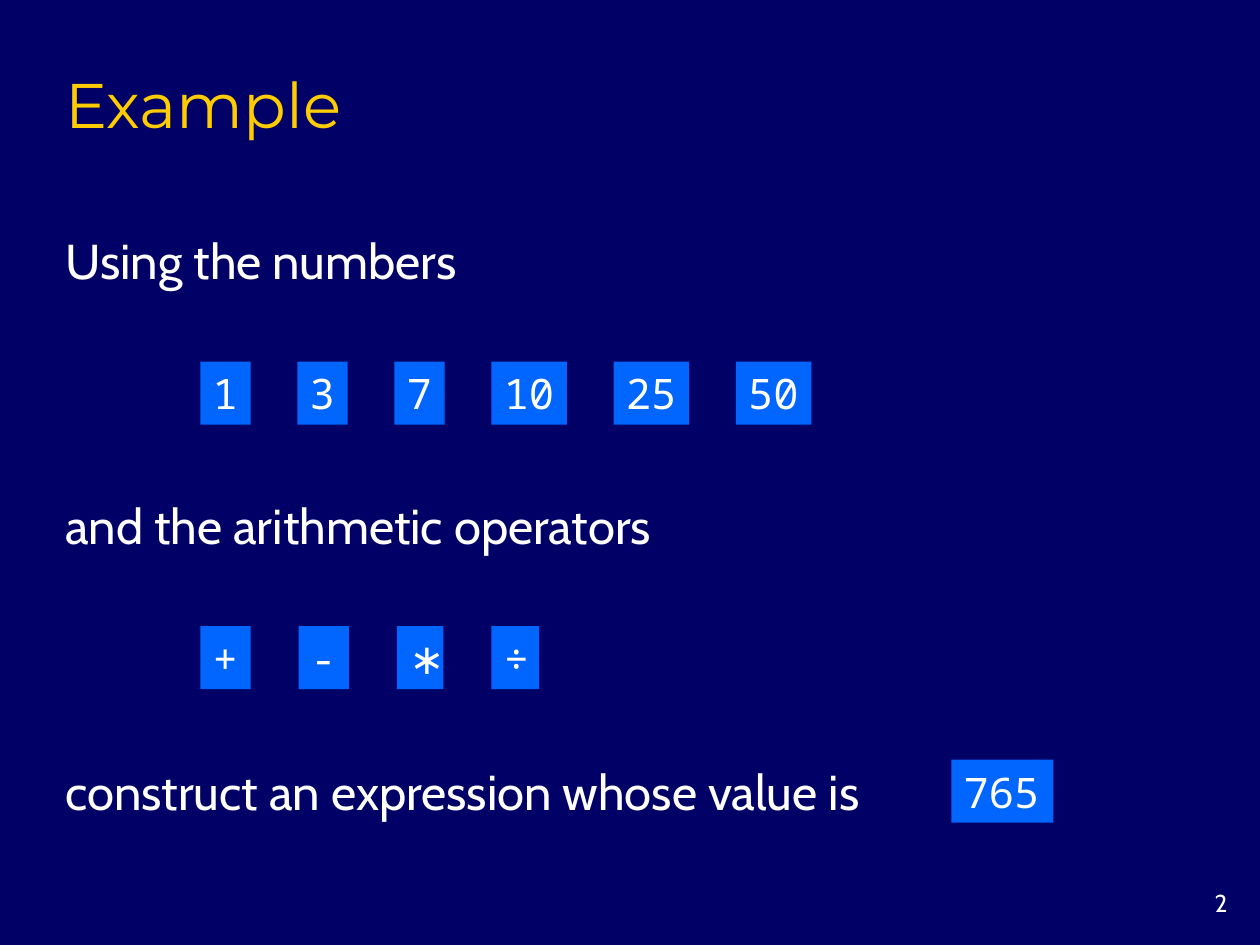
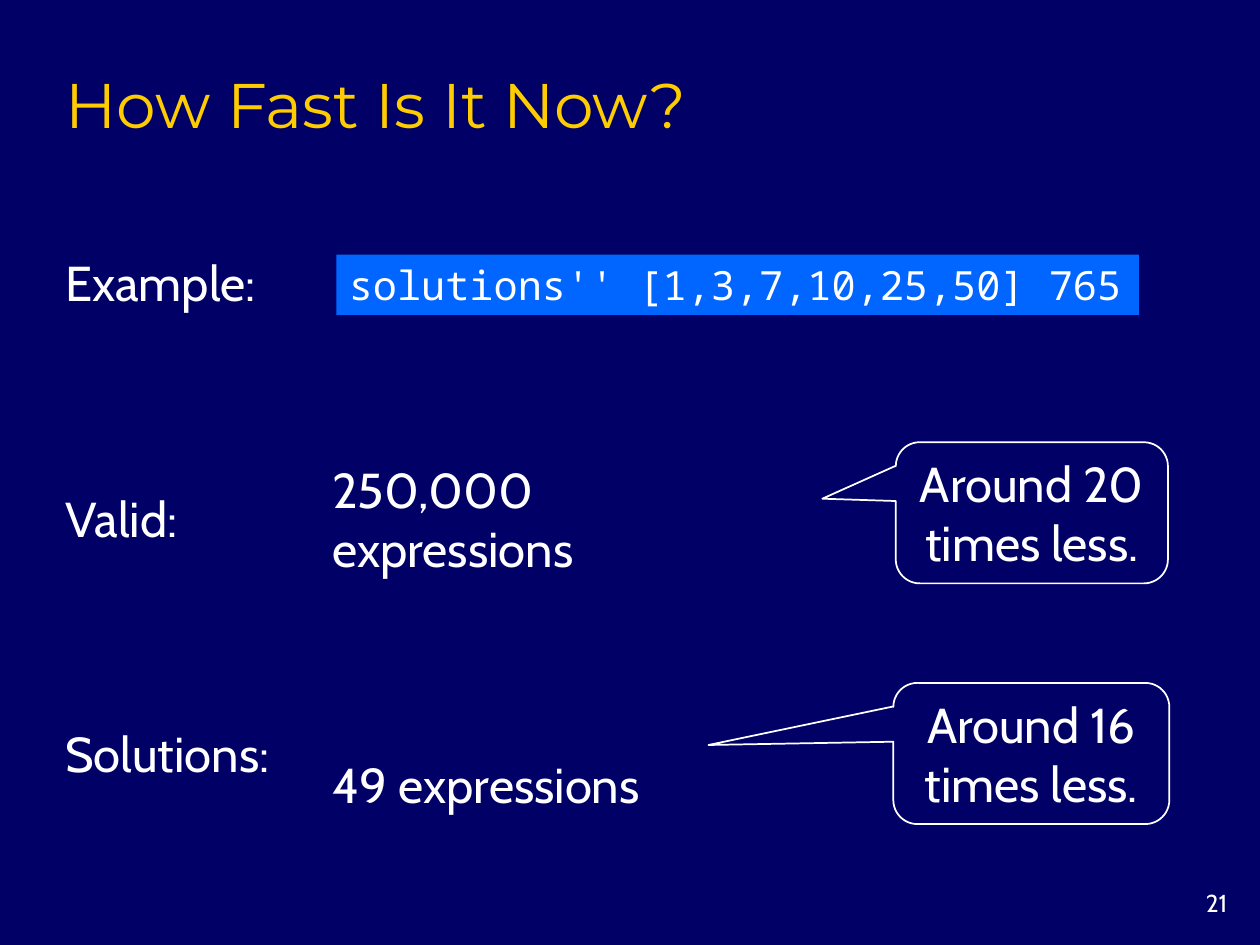
"""Build two slides on a number puzzle: the example and the speed of its solver."""
from dataclasses import dataclass

from pptx import Presentation
from pptx import util as u
from pptx.dml.color import RGBColor
from pptx.enum import shapes, text


@dataclass(frozen=True)
class Theme:
    background: str = "000066"
    tile: str = "0066FF"
    heading: str = "FFCC00"
    ink: str = "FFFFFF"
    heading_font: str = "Montserrat"
    body_font: str = "Cabin"
    code_font: str = "Noto Sans Mono"
    heading_size: int = 36
    body_size: int = 28
    tile_size: int = 24
    code_size: int = 23
    number_size: int = 14


class Deck:
    def __init__(self, theme):
        self.theme = theme
        self.slide = None
        self.presentation = Presentation()
        self.presentation.slide_width = u.Inches(10)
        self.presentation.slide_height = u.Inches(7.5)
        self.paint(self.presentation.slide_master.background.fill, theme.background)

    def paint(self, fill, color):
        fill.solid()
        fill.fore_color.rgb = RGBColor.from_string(color)

    def set_text(self, shape, lines, size, font=None, color=None, align=text.PP_ALIGN.LEFT,
                 anchor=text.MSO_ANCHOR.MIDDLE, grow=True, wrap=True, gap=0):
        frame = shape.text_frame
        frame.text = "\n".join(lines)
        frame.word_wrap = wrap
        frame.vertical_anchor = anchor
        fit = text.MSO_AUTO_SIZE
        frame.auto_size = fit.SHAPE_TO_FIT_TEXT if grow else fit.NONE
        for index, paragraph in enumerate(frame.paragraphs):
            paragraph.alignment = align
            paragraph.space_before = u.Pt(gap if index else 0)
            for run in paragraph.runs:
                run.font.size = u.Pt(size)
                run.font.name = font or self.theme.body_font
                run.font.color.rgb = RGBColor.from_string(color or self.theme.ink)

    def add_slide(self, title, number):
        layout = self.presentation.slide_layouts.get_by_name("Title Only")
        self.slide = self.presentation.slides.add_slide(layout)
        heading = self.slide.shapes.title
        heading.left, heading.top = u.Inches(0.42), u.Inches(0.42)
        heading.width, heading.height = u.Inches(8.5), u.Inches(0.75)
        self.set_text(heading, [title], self.theme.heading_size, self.theme.heading_font,
                      self.theme.heading, anchor=text.MSO_ANCHOR.BOTTOM, grow=False)
        self.add_text([str(number)], 9.17, 7, 0.67, 0.33, size=self.theme.number_size,
                      align=text.PP_ALIGN.RIGHT, anchor=text.MSO_ANCHOR.TOP, grow=False)

    def add_text(self, lines, left, top, width, height=0.57, size=None, **style):
        box = self.slide.shapes.add_textbox(*map(u.Inches, (left, top, width, height)))
        self.set_text(box, lines, size or self.theme.body_size, **style)

    def add_shape(self, kind, left, top, width, height):
        shape = self.slide.shapes.add_shape(kind, *map(u.Inches, (left, top, width, height)))
        shape.shadow.inherit = False
        return shape

    def add_tile(self, label, left, top, width, height=0.5, size=None):
        tile = self.add_shape(shapes.MSO_SHAPE.RECTANGLE, left, top, width, height)
        self.paint(tile.fill, self.theme.tile)
        tile.line.fill.background()
        self.set_text(tile, [label], size or self.theme.tile_size, self.theme.code_font,
                      wrap=False)

    def add_tile_row(self, labels, widths, top, gap, left=1.59):
        for label, width in zip(labels, widths):
            self.add_tile(label, left, top, width)
            left += width + gap

    def add_callout(self, message, left, top, width, tip):
        callout = self.add_shape(shapes.MSO_SHAPE.ROUNDED_RECTANGULAR_CALLOUT,
                                 left, top, width, 1.12)
        for index, value in enumerate((*tip, 0.17)):
            callout.adjustments[index] = value
        callout.fill.background()
        callout.line.color.rgb = RGBColor.from_string(self.theme.ink)
        callout.line.width = u.Pt(1)
        self.set_text(callout, [message], self.theme.body_size, align=text.PP_ALIGN.CENTER)


def add_example_slide(deck):
    deck.add_slide("Example", 2)
    numbers = ["1", "3", "7", "10", "25", "50"]
    deck.add_tile_row(numbers, [0.2 + 0.2 * len(number) for number in numbers], 2.87, 0.37)
    deck.add_tile_row("+-∗÷", [0.4, 0.4, 0.37, 0.38], 4.97, 0.38)
    deck.add_text(["Using the numbers"], 0.42, 1.78, 8.61)
    deck.add_text(["and the arithmetic operators"], 0.42, 3.88, 8.61)
    deck.add_text(["construct an expression whose value is"], 0.42, 5.99, 6.99)
    deck.add_tile("765", 7.55, 6.03, 0.81)


def add_speed_slide(deck):
    row_gap = 101
    deck.add_slide("How Fast Is It Now?", 21)
    deck.add_text(["Example:", "Valid:", "Solutions:"], 0.42, 1.96, 2.7, 4.3, gap=row_gap)
    deck.add_tile("solutions'' [1,3,7,10,25,50] 765", 2.67, 2.02, 6.37, 0.48,
                  deck.theme.code_size)
    deck.add_text(["250,000 expressions", "49 expressions"], 2.54, 3.83, 3.74, 2.44,
                  gap=row_gap)
    deck.add_callout("Around 20 times less.", 7.11, 3.51, 2.16, (-0.77, -0.1))
    deck.add_callout("Around 16 times less.", 7.09, 5.42, 2.19, (-1.17, -0.06))


def main():
    deck = Deck(Theme())
    add_example_slide(deck)
    add_speed_slide(deck)
    deck.presentation.save("out.pptx")


if __name__ == "__main__":
    main()
